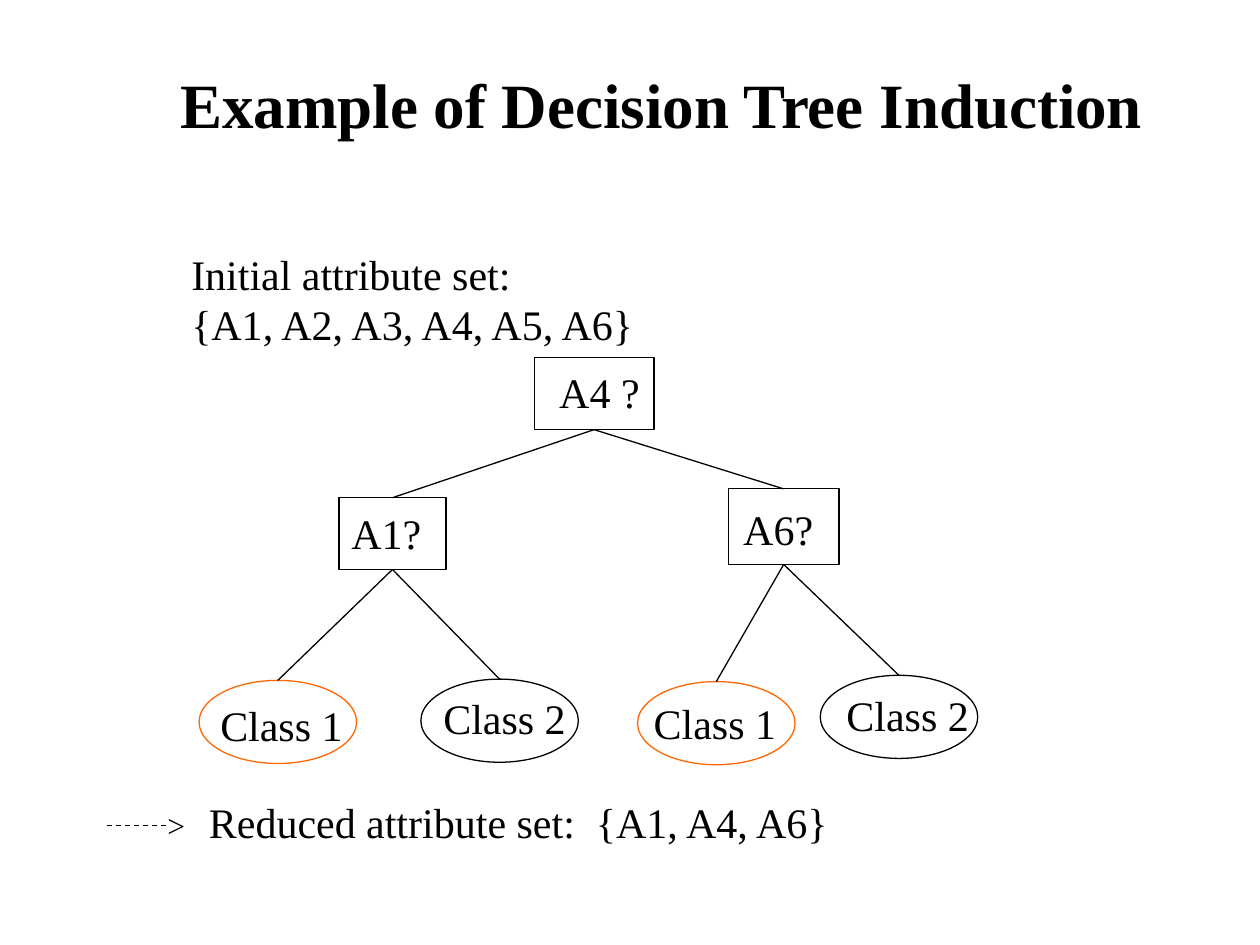
from lxml import etree
from pptx import Presentation
from pptx.dml.color import RGBColor
from pptx.enum import dml, shapes, text
from pptx.oxml.ns import qn
from pptx.util import Inches, Pt

THEME = {
    "font": "Times New Roman",
    "black": RGBColor(0x00, 0x00, 0x00),
    "orange": RGBColor(0xFF, 0x66, 0x00),
    "title": 36,
    "body": 24,
    "arrow": 18,
    "line": 0.75,
}

TITLE = ("Example of Decision Tree Induction", (1.33, 0.47, 8.42, 0.7))
INITIAL_SET = (["Initial attribute set:", "{A1, A2, A3, A4, A5, A6}"], (1.42, 1.92, 3.8, 0.9))
REDUCED_SET = (["Reduced attribute set:  {A1, A4, A6}"], (1.56, 6.27, 5.15, 0.5))

# name: label, box (left, top, width, height), label (left, top, width)
TESTS = {
    "root": ("A4 ?", (4.24, 2.84, 0.95, 0.57), (4.34, 2.86, 0.97)),
    "left": ("A1?", (2.69, 3.95, 0.85, 0.57), (2.69, 3.98, 0.75)),
    "right": ("A6?", (5.78, 3.88, 0.88, 0.6), (5.8, 3.95, 0.75)),
}
# name: label, ellipse (left, top), label (left, top), outline colour
LEAVES = {
    "left yes": ("Class 1", (1.58, 5.4), (1.65, 5.5), "orange"),
    "left no": ("Class 2", (3.34, 5.39), (3.42, 5.45), "black"),
    "right yes": ("Class 1", (5.06, 5.41), (5.09, 5.49), "orange"),
    "right no": ("Class 2", (6.51, 5.36), (6.62, 5.42), "black"),
}
LEAF_SIZE = (1.25, 0.66)
LEAF_LABEL_WIDTH = 1.17
LABEL_HEIGHT = 0.5
BRANCHES = {
    "root": ("left", "right"),
    "left": ("left yes", "left no"),
    "right": ("right yes", "right no"),
}
BOTTOM, TOP = 2, 0


def inches(values):
    return [Inches(value) for value in values]


def write(shape, lines, size, bold=False, wrap=False):
    frame = shape.text_frame
    frame.word_wrap = wrap
    frame.auto_size = text.MSO_AUTO_SIZE.NONE
    frame.vertical_anchor = text.MSO_ANCHOR.TOP
    for index, line in enumerate(lines):
        paragraph = frame.add_paragraph() if index else frame.paragraphs[0]
        paragraph.alignment = text.PP_ALIGN.LEFT
        paragraph.line_spacing = 1.0
        paragraph.space_before = Pt(0)
        run = paragraph.add_run()
        run.text = line
        run.font.name = THEME["font"]
        run.font.size = Pt(THEME[size])
        run.font.bold = bold
        run.font.color.rgb = THEME["black"]


def add_text(parent, lines, box, size="body"):
    write(parent.add_textbox(*inches(box)), lines, size)


def add_outline(parent, kind, box, colour="black"):
    shape = parent.add_shape(kind, *inches(box))
    shape.shadow.inherit = False
    shape.fill.background()
    shape.line.color.rgb = THEME[colour]
    shape.line.width = Pt(THEME["line"])
    return shape


def add_line(parent, start=(0, 0), end=(0, 0)):
    line = parent.add_connector(shapes.MSO_CONNECTOR.STRAIGHT, *inches(start + end))
    line.line.color.rgb = THEME["black"]
    line.line.width = Pt(THEME["line"])
    etree.SubElement(line._element.spPr, qn("a:effectLst"))
    return line


def add_tree(parent):
    nodes = {}
    for name, (label, box, label_box) in TESTS.items():
        nodes[name] = add_outline(parent, shapes.MSO_SHAPE.RECTANGLE, box)
        add_text(parent, [label], label_box + (LABEL_HEIGHT,))
    for name, (label, corner, label_corner, colour) in LEAVES.items():
        nodes[name] = add_outline(parent, shapes.MSO_SHAPE.OVAL, corner + LEAF_SIZE, colour)
        add_text(parent, [label], label_corner + (LEAF_LABEL_WIDTH, LABEL_HEIGHT))
    for start, ends in BRANCHES.items():
        for end in ends:
            branch = add_line(parent)
            branch.begin_connect(nodes[start], BOTTOM)
            branch.end_connect(nodes[end], TOP)


def add_dashed_arrow(parent):
    group = parent.add_group_shape().shapes
    shaft = add_line(group, (0.85, 6.55), (1.33, 6.55))
    shaft.line.dash_style = dml.MSO_LINE.DASH
    add_text(group, [">"], (1.23, 6.35, 0.34, 0.4), "arrow")


def main():
    presentation = Presentation()
    presentation.slide_width, presentation.slide_height = inches((10, 7.5))
    slide = presentation.slides.add_slide(presentation.slide_layouts[5])

    title = slide.shapes.title
    heading, box = TITLE
    title.left, title.top, title.width, title.height = inches(box)
    write(title, [heading], "title", bold=True, wrap=True)

    add_text(slide.shapes, *INITIAL_SET)
    add_tree(slide.shapes)
    add_dashed_arrow(slide.shapes)
    add_text(slide.shapes, *REDUCED_SET)
    presentation.save("out.pptx")


if __name__ == "__main__":
    main()
